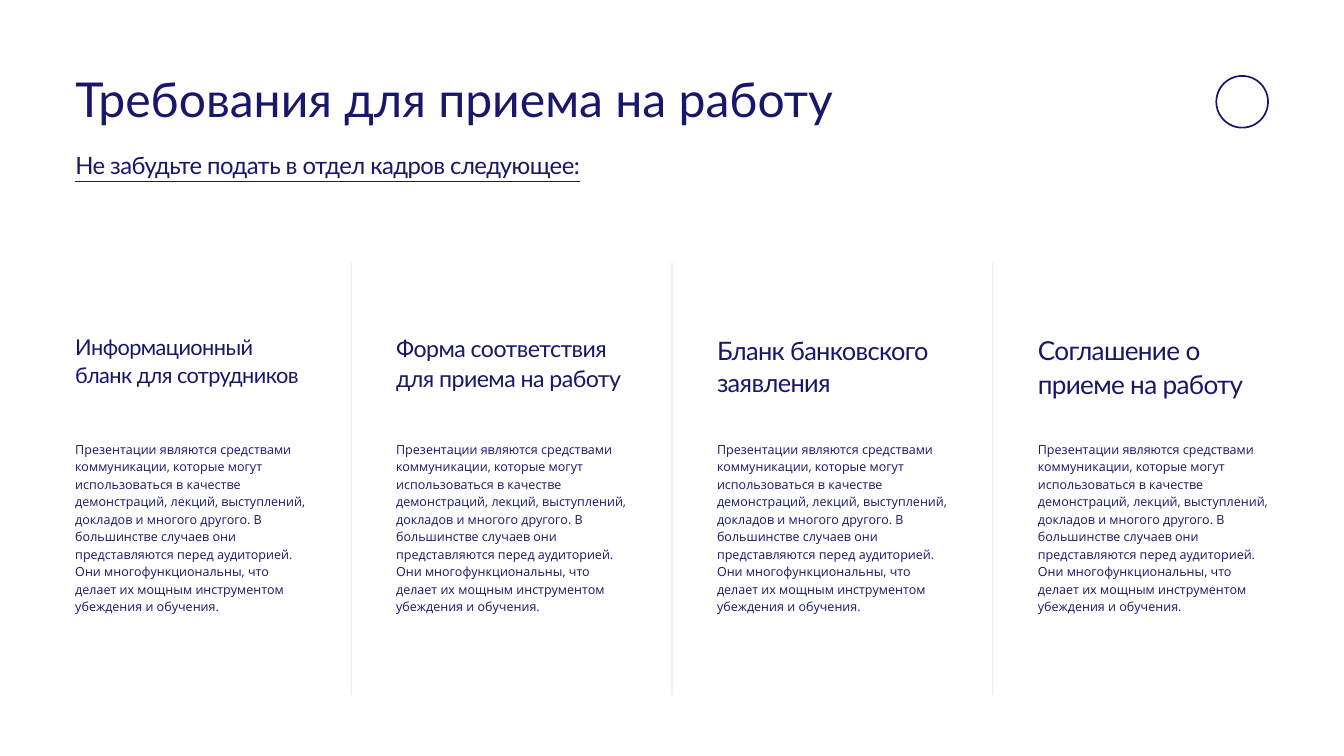
from lxml.etree import SubElement
from pptx import Presentation
from pptx.dml.color import RGBColor
from pptx.enum.shapes import MSO_CONNECTOR as Connector, MSO_SHAPE as Shape
from pptx.enum.text import MSO_ANCHOR as Anchor, MSO_AUTO_SIZE as AutoSize, PP_ALIGN as Align
from pptx.oxml.ns import qn
from pptx.util import Inches, Pt

NAVY = "191769"
DIVIDER = "29285D"
LEFT = 1.12
COLUMN_STEP = 4.775
COLUMN_WIDTH = 3.43

DESCRIPTION = (
    "Презентации являются средствами коммуникации, которые могут использоваться "
    "в качестве демонстраций, лекций, выступлений, докладов и многого другого. "
    "В большинстве случаев они представляются перед аудиторией. Они "
    "многофункциональны, что делает их мощным инструментом убеждения и обучения."
)

REQUIREMENTS = [
    ("Информационный бланк для сотрудников", 4.94, 0.82, 23.3, 29.8, -0.6),
    ("Форма соответствия для приема на работу", 4.95, 0.87, 24.8, 31.8, -0.6),
    ("Бланк банковского заявления", 4.95, 0.95, 27.2, 34.8, -0.7),
    ("Соглашение о приеме на работу", 4.95, 0.98, 28, 35.8, -0.7),
]


def color(hex_value):
    return RGBColor.from_string(hex_value)


def write_text(holder, text, size, leading, family="Lato", tracking=0, underline=False):
    frame = holder.text_frame
    frame.word_wrap = True
    frame.auto_size = AutoSize.NONE
    frame.vertical_anchor = Anchor.TOP
    frame.margin_left = frame.margin_right = 0
    frame.margin_top = frame.margin_bottom = 0
    paragraph = frame.paragraphs[0]
    paragraph.text = text
    paragraph.alignment = Align.LEFT
    paragraph.line_spacing = Pt(leading)
    font = paragraph.font
    font.name = family
    font.size = Pt(size)
    font.color.rgb = color(NAVY)
    if underline:
        font.underline = True
    if tracking:
        font._element.set("spc", str(round(tracking * 100)))


def add_title(slide, text):
    title = slide.shapes.title
    title.left, title.top = Inches(LEFT), Inches(1.18)
    title.width, title.height = Inches(11.6), Inches(0.77)
    write_text(title, text, 51.5, 51)


def add_text(slide, text, left, top, width, height, size, leading, **style):
    box = slide.shapes.add_textbox(
        Inches(left), Inches(top), Inches(width), Inches(height)
    )
    write_text(box, text, size, leading, **style)


def add_divider(slide, x):
    divider = slide.shapes.add_connector(
        Connector.STRAIGHT, Inches(x), Inches(3.91), Inches(x), Inches(10.34)
    )
    divider.line.width = Pt(0.72)
    divider.line.color.rgb = color(DIVIDER)
    properties = divider._element.spPr
    tint = properties.find(".//" + qn("a:srgbClr"))
    SubElement(tint, qn("a:alpha")).set("val", "20000")
    SubElement(properties, qn("a:effectLst"))


def add_ring(slide):
    ring = slide.shapes.add_shape(
        Shape.OVAL, Inches(18.1), Inches(1.13), Inches(0.77), Inches(0.77)
    )
    ring.shadow.inherit = False
    ring.fill.background()
    ring.line.color.rgb = color(NAVY)
    ring.line.width = Pt(1.8)


def add_requirement(slide, left, heading, top, height, size, leading, tracking):
    add_text(slide, heading, left, top, COLUMN_WIDTH, height, size, leading,
             tracking=tracking)
    add_text(slide, DESCRIPTION, left, 6.54, COLUMN_WIDTH, 2.58, 13.4, 18.7,
             family="Open Sans")


def main():
    deck = Presentation()
    deck.slide_width, deck.slide_height = Inches(20), Inches(11.25)
    slide = deck.slides.add_slide(deck.slide_layouts[5])

    add_title(slide, "Требования для приема на работу")
    add_text(slide, "Не забудьте подать в отдел кадров следующее:",
             LEFT, 2.28, 7.69, 0.41, 25.6, 28.4, tracking=-0.6, underline=True)
    add_ring(slide)

    for index, requirement in enumerate(REQUIREMENTS):
        left = LEFT + index * COLUMN_STEP
        if index:
            add_divider(slide, left - 0.67)
        add_requirement(slide, left, *requirement)

    deck.save("out.pptx")


if __name__ == "__main__":
    main()
